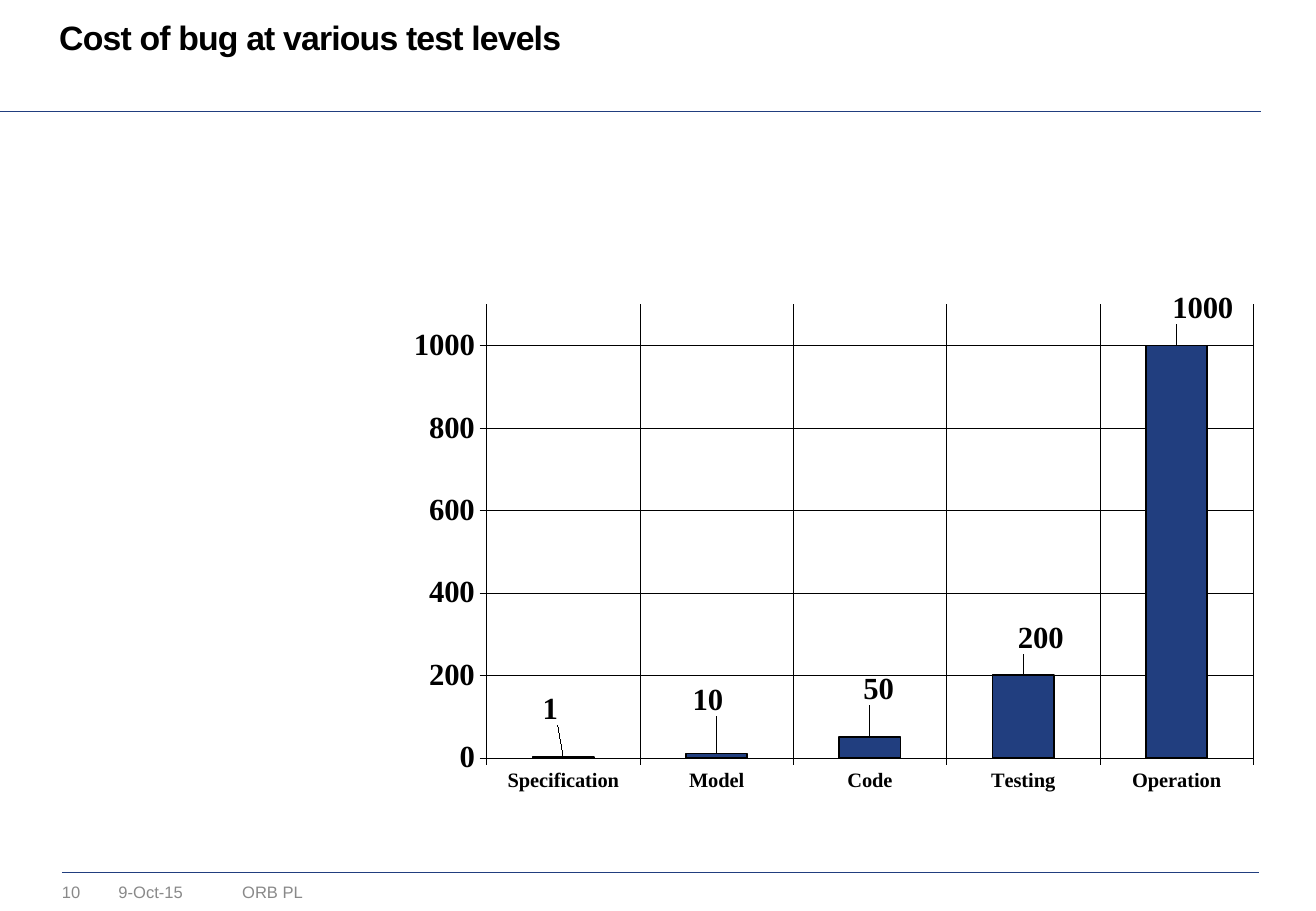
from pptx import Presentation
from pptx.chart.data import CategoryChartData
from pptx.dml.color import RGBColor
from pptx.enum.chart import XL_CHART_TYPE, XL_LABEL_POSITION, XL_TICK_MARK
from pptx.enum.shapes import MSO_CONNECTOR
from pptx.oxml import parse_xml
from pptx.oxml.ns import qn
from pptx.util import Inches, Pt

COLUMN = XL_CHART_TYPE.COLUMN_CLUSTERED
ABOVE = XL_LABEL_POSITION.OUTSIDE_END
OUT, NONE = XL_TICK_MARK.OUTSIDE, XL_TICK_MARK.NONE
STRAIGHT = MSO_CONNECTOR.STRAIGHT

NAVY = RGBColor(0x21, 0x3E, 0x7F)
GREY = RGBColor(0x89, 0x89, 0x89)
BLACK = RGBColor(0, 0, 0)
SANS, SERIF = "Arial", "Times New Roman"
WIDE, HIGH = Inches(10.83), Inches(7.5)
CHART_NS = "http://schemas.openxmlformats.org/drawingml/2006/chart"

COSTS = {"Specification": 1, "Model": 10, "Code": 50,
         "Testing": 200, "Operation": 1000}
# Label shifts from the bar top, as shares of the chart
SHIFTS = [(-0.015, -0.05), (-0.01, -0.06), (0.01, -0.05),
          (0.02, -0.03), (0.03, -0.03)]
PLOT = {"x": 0.108, "y": 0.043, "w": 0.876, "h": 0.851}
# Text, left and width as shares of the slide
FOOTER = [("10", 0.047, 0.036), ("9-Oct-15", 0.09, 0.082),
          ("ORB PL", 0.184, 0.13)]


def place(x, y, w, h):
    """Turn shares of the slide into lengths."""
    return int(x * WIDE), int(y * HIGH), int(w * WIDE), int(h * HIGH)


def style(font, size, color, name, bold=False):
    font.size, font.name, font.bold = Pt(size), name, bold
    font.color.rgb = color


def stroke(line, color, width):
    line.color.rgb = color
    line.width = Pt(width)


def add_text(slide, text, box, size, color, bold=False):
    frame = slide.shapes.add_textbox(*place(*box)).text_frame
    frame.margin_left = frame.margin_right = 0
    frame.margin_top = frame.margin_bottom = 0
    frame.word_wrap = True
    frame.text = text
    para = frame.paragraphs[0]
    style(para.runs[0].font, size, color, SANS, bold)
    return para


def add_rule(slide, left, right, y):
    x, top, end, _ = place(left, y, right, 0)
    rule = slide.shapes.add_connector(STRAIGHT, x, top, end, top)
    stroke(rule.line, NAVY, 0.25)
    props = rule._element.spPr
    props.append(props.makeelement(qn("a:effectLst"), {}))


def make_layout(modes, sizes):
    """Build a manual chart layout from mode and size entries."""
    parts = "".join(f'<c:{key} val="{val}"/>'
                    for key, val in [*modes.items(), *sizes.items()])
    return parse_xml(f'<c:layout xmlns:c="{CHART_NS}"><c:manualLayout>'
                     f'{parts}</c:manualLayout></c:layout>')


def style_axis(axis, size, tick):
    axis.major_tick_mark, axis.minor_tick_mark = tick, NONE
    axis.has_major_gridlines = True
    stroke(axis.format.line, BLACK, 0.25)
    stroke(axis.major_gridlines.format.line, BLACK, 0.25)
    style(axis.tick_labels.font, size, BLACK, SERIF, True)


def fix_plot(chart):
    area = chart._chartSpace.find(".//" + qn("c:plotArea"))
    for old in area.findall(qn("c:layout")):
        area.remove(old)
    modes = {"layoutTarget": "inner", "xMode": "edge", "yMode": "edge"}
    area.insert(0, make_layout(modes, PLOT))


def add_labels(series):
    for i, (dx, dy) in enumerate(SHIFTS):
        label = series.points[i].data_label
        style(label.font, 18.2, BLACK, SERIF, True)
        label.position = ABOVE
    for node, (dx, dy) in zip(series._element.iter(qn("c:dLbl")), SHIFTS):
        node.insert(1, make_layout({}, {"x": dx, "y": dy}))


def add_costs(slide):
    data = CategoryChartData()
    data.categories = list(COSTS)
    data.add_series("Series 1", list(COSTS.values()))
    box = place(0.298, 0.309, 0.665, 0.585)
    chart = slide.shapes.add_chart(COLUMN, *box, data).chart
    chart.has_legend = chart.has_title = False
    style(chart.font, 18.2, BLACK, SERIF, True)
    style_axis(chart.category_axis, 12.1, OUT)
    scale = chart.value_axis
    style_axis(scale, 18.2, OUT)
    scale.minimum_scale, scale.maximum_scale = 0, 1100
    scale.major_unit = 200
    plot = chart.plots[0]
    plot.gap_width, plot.vary_by_categories = 150, False
    bars = plot.series[0]
    bars.format.fill.solid()
    bars.format.fill.fore_color.rgb = NAVY
    stroke(bars.format.line, BLACK, 1)
    add_labels(bars)
    fix_plot(chart)


def main():
    deck = Presentation()
    deck.slide_width, deck.slide_height = WIDE, HIGH
    slide = deck.slides.add_slide(deck.slide_layouts[6])
    add_rule(slide, 0.047, 0.957, 0.958)
    add_rule(slide, 0, 0.958, 0.122)
    for text, x, w in FOOTER:
        add_text(slide, text, (x, 0.968, w, 0.022), 9.8, GREY)
    title = add_text(slide, "Cost of bug at various test levels",
                     (0.045, 0.023, 0.917, 0.041), 20, BLACK, True)
    title.line_spacing = Pt(21.7)
    title.runs[0].font._element.set("spc", "-50")
    add_costs(slide)
    deck.save("out.pptx")


if __name__ == "__main__":
    main()
